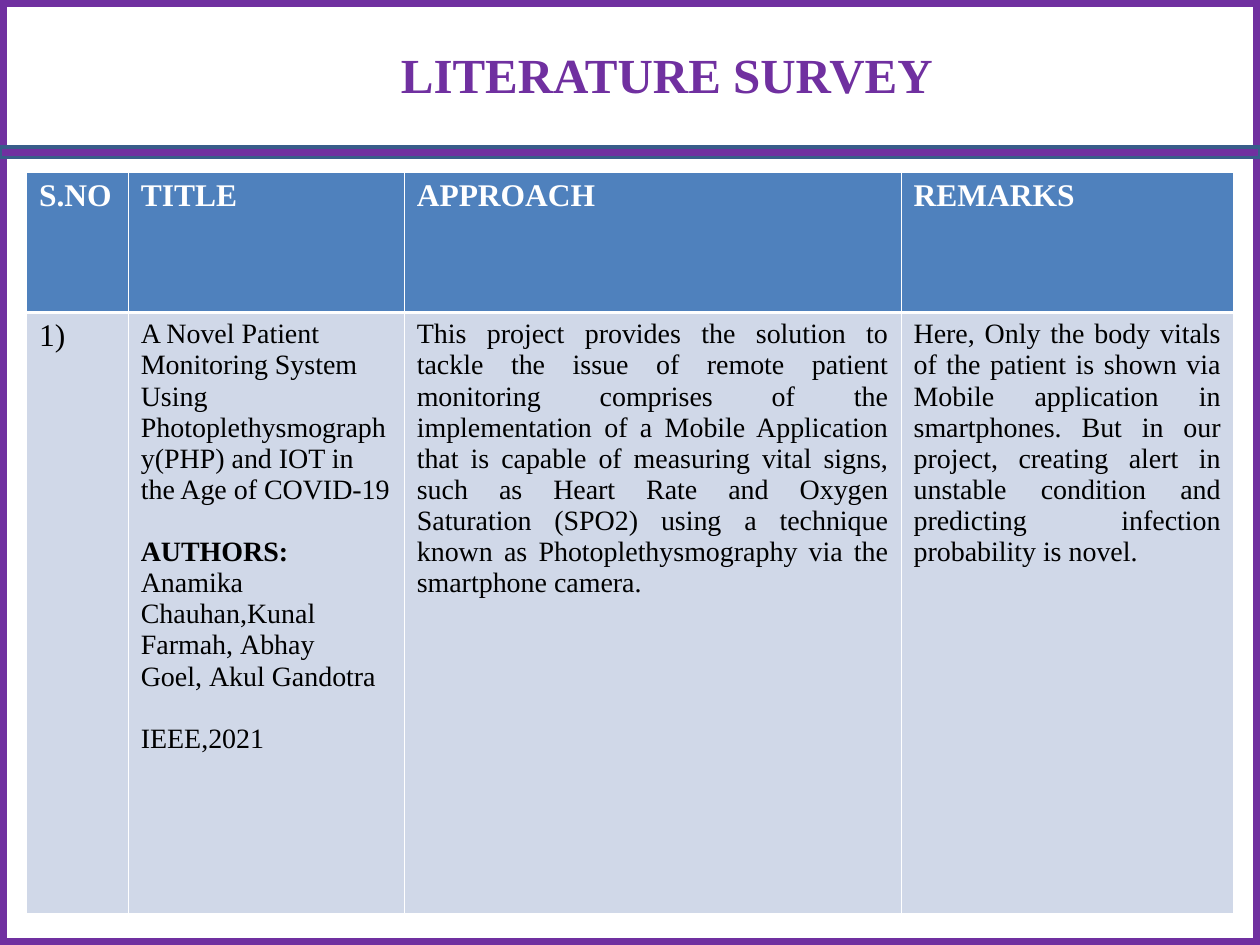
from lxml import etree
from pptx import Presentation
from pptx.dml.color import RGBColor
from pptx.enum import shapes, text
from pptx.oxml.ns import qn
from pptx.util import Pt

# Content
TITLE = "LITERATURE SURVEY"
HEADS = ["S.NO", "TITLE", "APPROACH", "REMARKS"]
HARD = chr(160)  # no-break space
STUDY = [
    "A Novel Patient Monitoring System Using Photoplethysmography(PHP) and IOT "
    "in the Age of COVID-19",
    "AUTHORS:",
    "Anamika Chauhan,Kunal",
    f"Farmah,{HARD}Abhay Goel,{HARD}Akul Gandotra",
    "IEEE,2021",
]
METHOD = (
    "This project provides the solution to tackle the issue of remote patient "
    "monitoring comprises of the implementation of a Mobile Application that is "
    "capable of measuring vital signs, such as Heart Rate and Oxygen Saturation "
    "(SPO2) using a technique known as Photoplethysmography via the smartphone camera. "
)
REMARK = (
    "Here, Only the body vitals of the patient is shown via Mobile application in "
    "smartphones. But in our project, creating alert in unstable condition and "
    "predicting infection probability is novel."
)
BOLD = {"AUTHORS:"}
SPACED = {"AUTHORS:", "IEEE,2021"}  # paragraphs set off by one line

# Format
HEX = {"purple": "7030A0", "edge": "385D8A", "white": "FFFFFF",
       "black": "000000", "head": "4F81BD", "body": "D0D8E8"}
FACE = "Times New Roman"
WIDE, HIGH = 720, 540
COLS = [58.2, 157.7, 283.9, 190]
ROWS = [80, 343.5]
THIN, THICK = 0.45, 1.47
LEFT, JUST = text.PP_ALIGN.LEFT, text.PP_ALIGN.JUSTIFY
HEAD = {"size": Pt(18), "bold": True, "name": FACE}
MARK = {"size": Pt(18), "bold": False, "name": FACE}
BODY = {"size": Pt(16), "bold": False, "name": FACE}
CELLS = [
    [([head], LEFT, HEAD) for head in HEADS],
    [(["1)"], LEFT, MARK), (STUDY, LEFT, BODY),
     ([METHOD], JUST, BODY), ([REMARK], JUST, BODY)],
]


def rgb(key):
    return RGBColor.from_string(HEX[key])


def style(font, form, key):
    for name, value in form.items():
        setattr(font, name, value)
    font.color.rgb = rgb(key)


def paint(item, key):
    item.fill.solid()
    item.fill.fore_color.rgb = rgb(key)


def box(slide, place, edge, width, fill=None):
    shape = slide.shapes.add_shape(shapes.MSO_SHAPE.RECTANGLE, *map(Pt, place))
    shape.shadow.inherit = False
    if fill:
        paint(shape, fill)
    else:
        shape.fill.background()
    shape.line.color.rgb = rgb(edge)
    shape.line.width = Pt(width)


def border(cell, sides):
    props = cell._tc.get_or_add_tcPr()
    for spot, (side, width) in enumerate(sides.items()):
        line = etree.Element(qn("a:ln" + side), w=str(int(Pt(width))))
        fill = etree.SubElement(line, qn("a:solidFill"))
        etree.SubElement(fill, qn("a:srgbClr"), val=HEX["white"])
        props.insert(spot, line)


def write(cell, lines, align, form, key):
    frame = cell.text_frame
    for num, line in enumerate(lines):
        para = frame.add_paragraph() if num else frame.paragraphs[0]
        para.alignment = align
        if line in SPACED:
            para.space_before = Pt(17.8)
        run = para.add_run()
        run.text = line
        style(run.font, {**form, "bold": form["bold"] or line in BOLD}, key)


def main():
    deck = Presentation()
    deck.slide_width, deck.slide_height = Pt(WIDE), Pt(HIGH)
    slide = deck.slides.add_slide(deck.slide_layouts[5])

    # Frame and rule
    box(slide, (0, 0, WIDE, HIGH), "purple", 7.5)
    box(slide, (0, 84, WIDE, 6), "edge", 2, "purple")

    # Title
    title = slide.shapes.title
    place = {"left": 120, "top": 18, "width": 522, "height": 48}
    for name, value in place.items():
        setattr(title, name, Pt(value))
    paint(title, "white")
    frame = title.text_frame
    frame.vertical_anchor = text.MSO_ANCHOR.MIDDLE
    para = frame.paragraphs[0]
    para.alignment = text.PP_ALIGN.CENTER
    run = para.add_run()
    run.text = TITLE
    style(run.font, {**HEAD, "size": Pt(28)}, "purple")

    # Survey table
    table = slide.shapes.add_table(
        len(ROWS), len(COLS), Pt(15.1), Pt(98.6), Pt(sum(COLS)), Pt(sum(ROWS))).table
    for col, width in zip(table.columns, COLS):
        col.width = Pt(width)
    for num, (row, high) in enumerate(zip(table.rows, ROWS)):
        row.height = Pt(high)
        top, low = (THICK, THIN) if num else (THIN, THICK)
        for cell, (lines, align, form) in zip(row.cells, CELLS[num]):
            paint(cell, "body" if num else "head")
            border(cell, {"L": THIN, "R": THIN, "T": top, "B": low})
            write(cell, lines, align, form, "black" if num else "white")

    deck.save("out.pptx")


if __name__ == "__main__":
    main()
